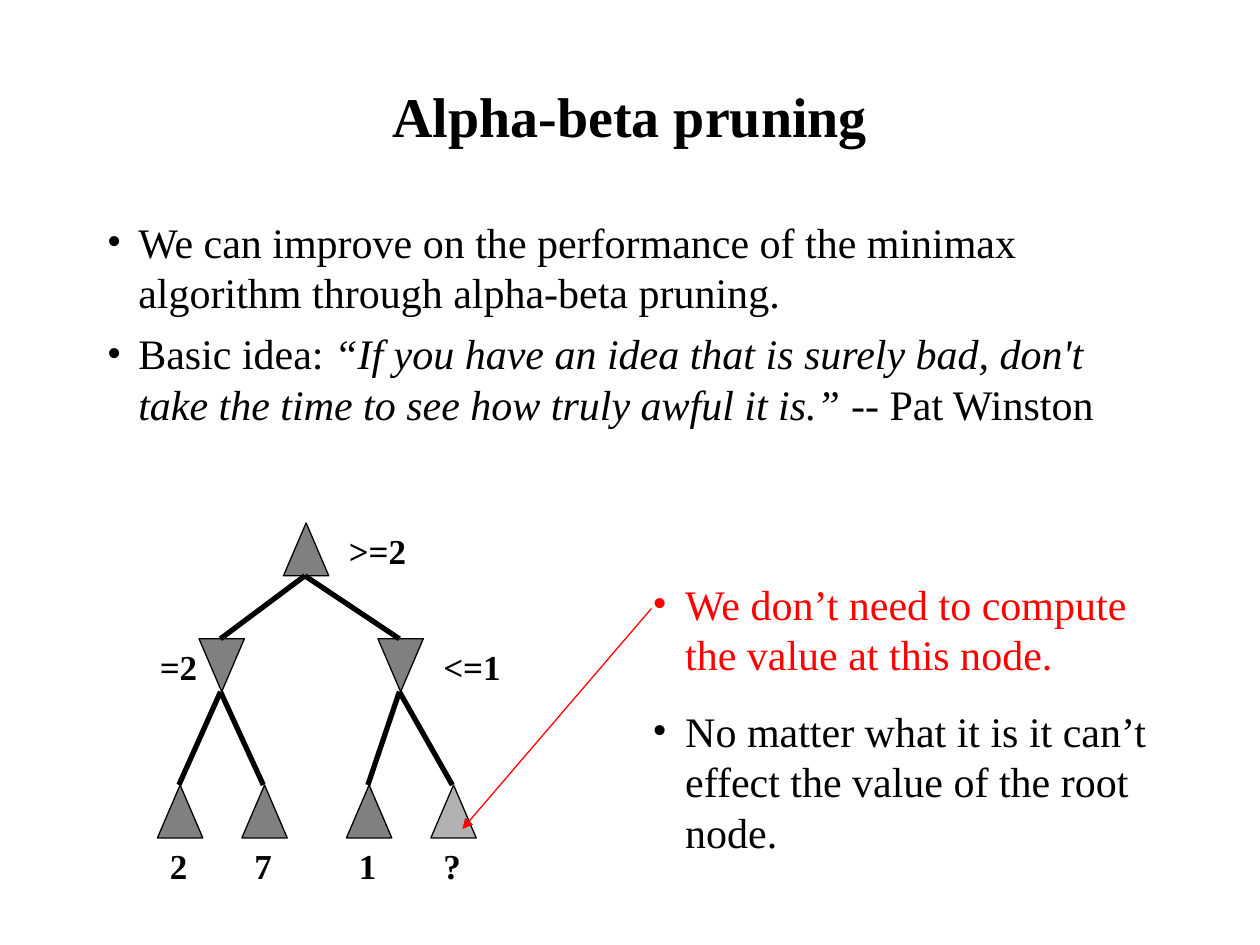
from pptx import Presentation
from pptx.dml.color import RGBColor
from pptx.enum.shapes import MSO_CONNECTOR as Connector, MSO_SHAPE as Shape
from pptx.enum.text import MSO_ANCHOR as Anchor, MSO_AUTO_SIZE as AutoSize, PP_ALIGN as Align
from pptx.oxml.ns import qn
from pptx.util import Inches, Pt
from lxml.etree import SubElement

COLORS = {"ink": "000000", "node": "808080", "unknown": "B2B2B2", "accent": "FF0000"}
NODE_W, NODE_H = 0.36, 0.42
LEVELS = [4.15, 5.07, 6.23]
LABEL_H = 0.44


def rgb(name):
    return RGBColor.from_string(COLORS[name])


class SlideBuilder:
    font_name = "Times New Roman"

    def __init__(self, slide):
        self.slide = slide

    def format_font(self, font, color="ink", **values):
        for key, value in {"name": self.font_name, **values}.items():
            setattr(font, key, value)
        font.color.rgb = rgb(color)

    def place(self, shape, left, top, width, height):
        box = {"left": left, "top": top, "width": width, "height": height}
        for key, value in box.items():
            setattr(shape, key, Inches(value))

    def title(self, text, *box):
        heading = self.slide.shapes.title
        self.place(heading, *box)
        frame = heading.text_frame
        frame.text = text
        frame.vertical_anchor = Anchor.MIDDLE
        frame.auto_size = AutoSize.NONE
        line = frame.paragraphs[0]
        line.alignment = Align.CENTER
        self.format_font(line.runs[0].font, size=Pt(32), bold=True)

    def text_frame(self, box, wrap):
        frame = self.slide.shapes.add_textbox(*map(Inches, box)).text_frame
        frame.word_wrap = wrap
        return frame

    def label(self, text, left, top, width):
        frame = self.text_frame((left, top, width, LABEL_H), False)
        frame.auto_size = AutoSize.SHAPE_TO_FIT_TEXT
        frame.text = text
        self.format_font(frame.paragraphs[0].runs[0].font, size=Pt(20), bold=True)

    def bullets(self, items, box, indent, gap):
        """Each item is a colour and a list of (text, italic) runs."""
        frame = self.text_frame(box, True)
        for index, (color, parts) in enumerate(items):
            item = frame.paragraphs[0] if index == 0 else frame.add_paragraph()
            if index:
                item.space_before = Pt(gap)
            props = item._p.get_or_add_pPr()
            props.set("marL", str(Inches(indent)))
            props.set("indent", str(-Inches(indent)))
            bullet_color = SubElement(props, qn("a:buClr"))
            SubElement(bullet_color, qn("a:srgbClr"), val=COLORS[color])
            SubElement(props, qn("a:buFont"), typeface=self.font_name)
            SubElement(props, qn("a:buChar"), char="•")
            for text, italic in parts:
                run = item.add_run()
                run.text = text
                self.format_font(run.font, color, size=Pt(24), italic=italic)

    def node(self, left, top, fill="node", is_min=False):
        triangle = self.slide.shapes.add_shape(
            Shape.ISOSCELES_TRIANGLE, *map(Inches, (left, top, NODE_W, NODE_H)))
        triangle.shadow.inherit = False
        triangle.fill.solid()
        triangle.fill.fore_color.rgb = rgb(fill)
        triangle.line.color.rgb = rgb("ink")
        triangle.line.width = Pt(0.75)
        if is_min:
            triangle._element.spPr.find(qn("a:xfrm")).set("flipV", "1")

    def line(self, start, end, color="ink", width=3, arrow=False):
        link = self.slide.shapes.add_connector(
            Connector.STRAIGHT, *map(Inches, (*start, *end)))
        link.line.color.rgb = rgb(color)
        link.line.width = Pt(width)
        if arrow:
            SubElement(link.line._get_or_add_ln(), qn("a:tailEnd"), type="triangle")
        SubElement(link._element.spPr, qn("a:effectLst"))


def draw_tree(builder):
    root_left, mid_top, leaf_top = 2.25, LEVELS[1], LEVELS[2]
    # left edge of each min node, with its leaves as (left, value)
    branches = [(1.58, [(1.25, "2"), (1.92, "7")]),
                (3.0, [(2.75, "1"), (3.42, "?")])]
    tip = 0.17

    builder.node(root_left, LEVELS[0])
    for min_left, leaves in branches:
        builder.node(min_left, mid_top, is_min=True)
        for leaf_left, value in leaves:
            builder.node(leaf_left, leaf_top, "unknown" if value == "?" else "node")
            builder.label(value, leaf_left, leaf_top + NODE_H, 0.34)

    for min_left, leaves in branches:
        builder.line((min_left + tip, mid_top), (root_left + tip, LEVELS[0] + NODE_H))
        for leaf_left, _ in leaves:
            builder.line((leaf_left + tip, leaf_top), (min_left + tip, mid_top + NODE_H))

    builder.label(">=2", 2.67, LEVELS[0], 0.66)
    builder.label("=2", 1.17, mid_top, 0.5)
    builder.label("<=1", 3.42, mid_top, 0.66)


def main():
    deck = Presentation()
    deck.slide_width, deck.slide_height = Inches(10), Inches(7.5)
    builder = SlideBuilder(deck.slides.add_slide(deck.slide_layouts[5]))

    builder.title("Alpha-beta pruning", 0.75, 0.58, 8.5, 0.67)
    builder.bullets([
        ("ink", [("We can improve on the performance of the minimax algorithm "
                  "through alpha-beta pruning.", False)]),
        ("ink", [("Basic idea: ", False),
                 ("“If you have an idea that is surely bad, don't take the time "
                  "to see how truly awful it is.”", True),
                 (" -- Pat Winston", False)]),
    ], (0.75, 1.67, 8.5, 4.5), indent=0.25, gap=6)
    draw_tree(builder)
    builder.bullets([
        ("accent", [("We don’t need to compute the value at this node.", False)]),
        ("ink", [("No matter what it is it can’t effect the value of the root node.",
                  False)]),
    ], (5.08, 4.54, 4.42, 2.31), indent=0.26, gap=15)
    builder.line((5.17, 4.83), (3.67, 6.58), "accent", 0.75, arrow=True)

    deck.save("out.pptx")


if __name__ == "__main__":
    main()
